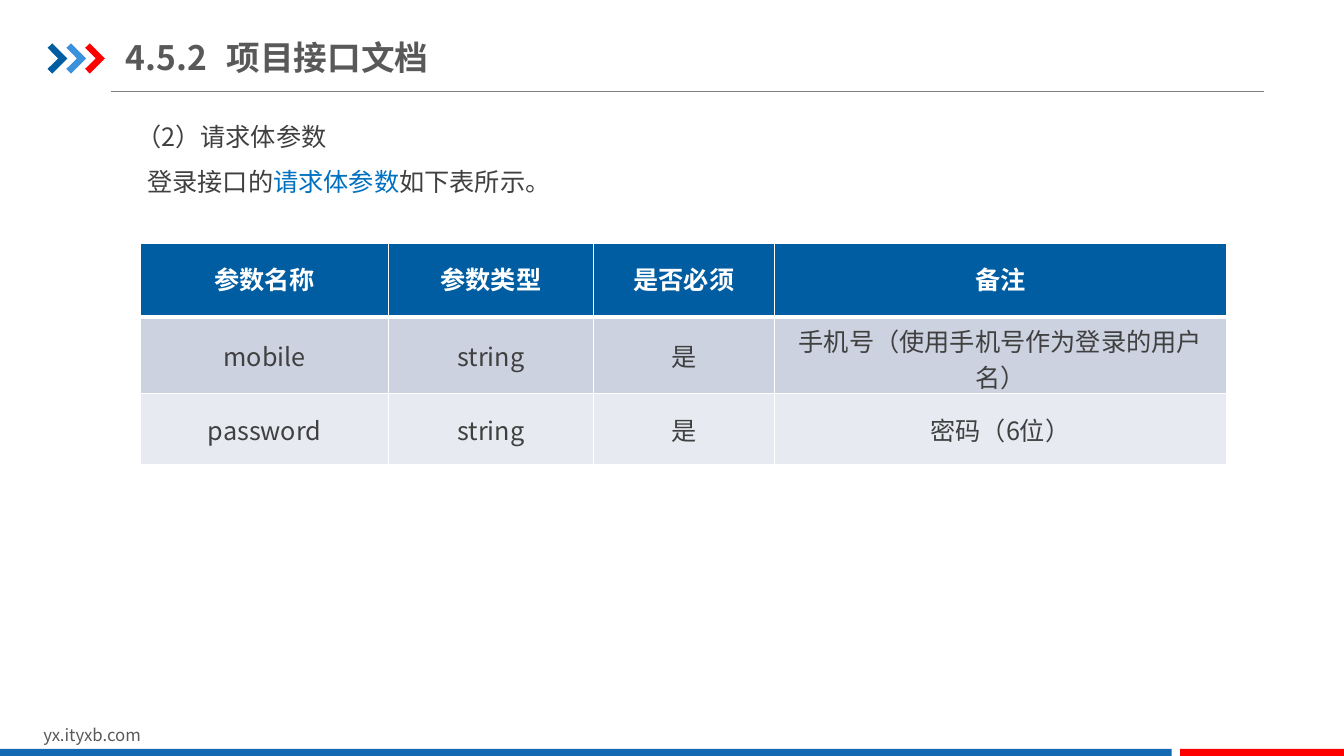
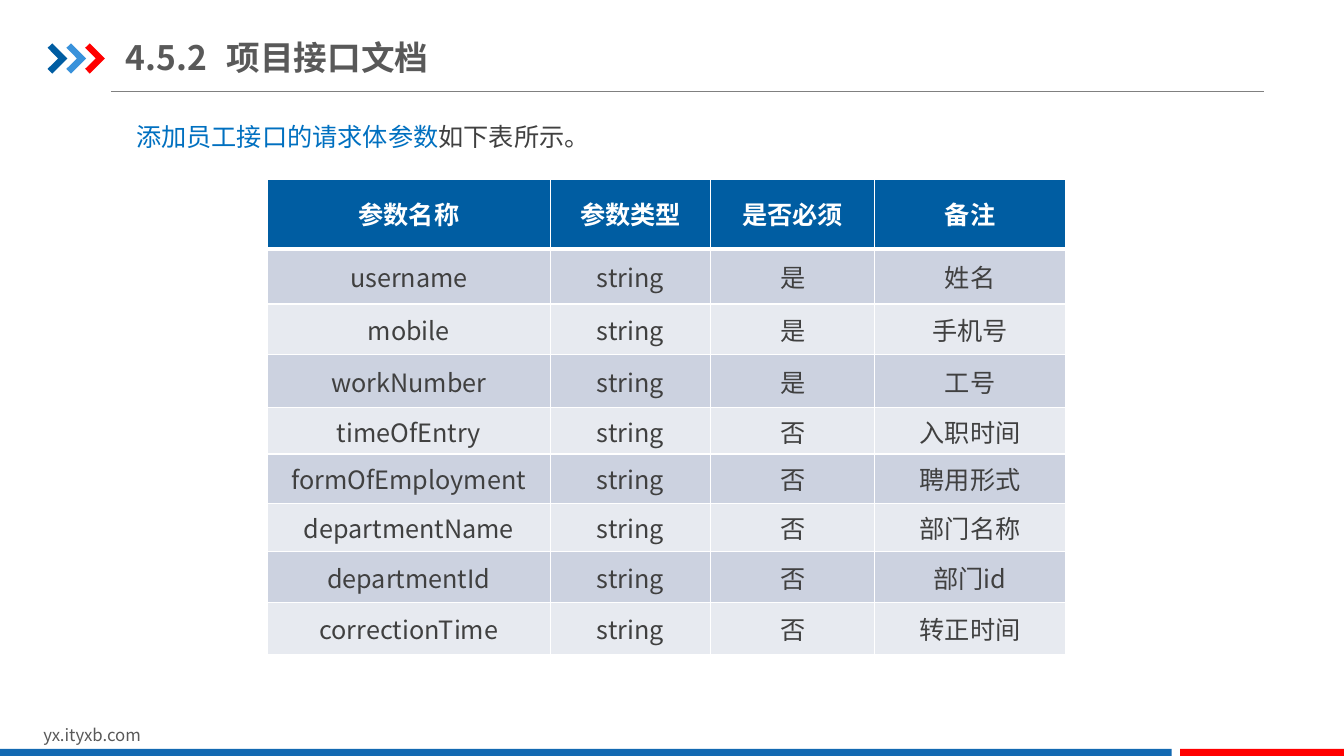
"""Build two slides that list the request body fields of an interface."""
from dataclasses import dataclass

from lxml.etree import SubElement
from pptx import Presentation
from pptx.dml.color import RGBColor
from pptx.enum.shapes import MSO_CONNECTOR, MSO_SHAPE
from pptx.enum.text import MSO_ANCHOR, MSO_AUTO_SIZE, PP_ALIGN
from pptx.oxml.ns import qn
from pptx.util import Pt


@dataclass(frozen=True)
class Theme:
    """Colours, font and type sizes."""
    font: str = "Noto Sans CJK SC"
    head: int = 24
    text: int = 18
    foot: int = 12
    white: str = "FFFFFF"
    grey: str = "595959"
    ink: str = "404040"
    rule: str = "808080"
    key: str = "0070C0"
    navy: str = "005DA2"
    sky: str = "3992DB"
    band: str = "1369B2"
    red: str = "FF0000"
    rows: tuple = ("CCD2E0", "E7EAF0")


T = Theme()
WIDE, HIGH = 960, 540
TITLE = "4.5.2\t项目接口文档"
SITE = "yx.ityxb.com"
HEADS = ("参数名称", "参数类型", "是否必须", "备注")
ARROW = [(0, 3.2), (3.4, 0), (14.2, 10.8), (3.4, 21.6), (0, 18.2), (7.6, 10.8)]

PAGES = [
    {
        "intro": [
            (0, [("（2）请求体参数", T.ink)]),
            (8, [("登录接口的", T.ink), ("请求体参数", T.key), ("如下表所示。", T.ink)]),
        ],
        "at": (100.4, 173.8),
        "cols": (177.2, 146.2, 129.3, 323),
        "highs": (52.6, 54.7, 51.1),
        "rows": [
            ("mobile", "string", "是", "手机号（使用手机号作为登录的用户名）"),
            ("password", "string", "是", "密码（6位）"),
        ],
    },
    {
        "intro": [
            (0, [("添加员工接口的请求体参数", T.key), ("如下表所示。", T.ink)]),
        ],
        "at": (191, 128.3),
        "cols": (202.1, 114.5, 117.2, 136.3),
        "highs": (49.5, 39.3, 36.3, 37.9, 33.1, 35.3, 34.6, 36.2, 36.9),
        "rows": [
            ("username", "string", "是", "姓名"),
            ("mobile", "string", "是", "手机号"),
            ("workNumber", "string", "是", "工号"),
            ("timeOfEntry", "string", "否", "入职时间"),
            ("formOfEmployment", "string", "否", "聘用形式"),
            ("departmentName", "string", "否", "部门名称"),
            ("departmentId", "string", "否", "部门id"),
            ("correctionTime", "string", "否", "转正时间"),
        ],
    },
]


def rgb(hue):
    """Turn a hex string into a colour."""
    return RGBColor.from_string(hue)


def add_run(para, text, size, hue, bold=False):
    """Add one run of text to a paragraph."""
    run = para.add_run()
    run.text = text
    font = run.font
    font.size, font.bold = Pt(size), bold
    font.color.rgb = rgb(hue)
    font.name = T.font
    SubElement(font._element, qn("a:ea"), typeface=T.font)


def place(shape, left, top, width, height):
    """Move and size a shape."""
    shape.left, shape.top = Pt(left), Pt(top)
    shape.width, shape.height = Pt(width), Pt(height)


def paint(shape, hue):
    """Give a shape a flat fill with no line or shadow."""
    shape.shadow.inherit = False
    shape.fill.solid()
    shape.fill.fore_color.rgb = rgb(hue)
    shape.line.fill.background()


def add_frame(slide):
    """Draw the arrows, rule, site name and bands."""
    shapes = slide.shapes
    rule = shapes.add_connector(MSO_CONNECTOR.STRAIGHT, Pt(79.2), Pt(65.5), Pt(903), Pt(65.5))
    rule.line.color.rgb, rule.line.width = rgb(T.rule), Pt(0.75)
    SubElement(rule._element.spPr, qn("a:effectLst"))
    for num, hue in enumerate((T.navy, T.sky, T.red)):
        dots = [(Pt(34 + 13.4 * num + x), Pt(31 + y)) for x, y in ARROW]
        form = shapes.build_freeform(*dots[0])
        form.add_line_segments(dots[1:], close=True)
        paint(form.convert_to_shape(), hue)
    site = shapes.add_textbox(Pt(23.8), Pt(514), Pt(229), Pt(21.8)).text_frame
    site.word_wrap = True
    add_run(site.paragraphs[0], SITE, T.foot, T.grey)
    for left, right, hue in ((0, 837, T.band), (843, WIDE, T.red)):
        bar = shapes.add_shape(MSO_SHAPE.RECTANGLE, Pt(left), Pt(535), Pt(right - left), Pt(HIGH - 535))
        paint(bar, hue)


def add_title(slide):
    """Fill the title with number and name."""
    title = slide.shapes.title
    place(title, 90, 21, 307, 40)
    frame = title.text_frame
    frame.auto_size = MSO_AUTO_SIZE.NONE
    frame.vertical_anchor = MSO_ANCHOR.MIDDLE
    frame.margin_left = frame.margin_right = 0
    para = frame.paragraphs[0]
    tabs = SubElement(para._p.get_or_add_pPr(), qn("a:tabLst"))
    SubElement(tabs, qn("a:tab"), pos=str(Pt(72)), algn="l")
    para.alignment = PP_ALIGN.LEFT
    add_run(para, TITLE, T.head, T.grey, True)


def add_intro(slide, lines):
    """Fill the body with plain lines."""
    body = slide.placeholders[1]
    place(body, 90, 72, 815, 7.2 + 32.8 * len(lines))
    frame = body.text_frame
    frame.auto_size = MSO_AUTO_SIZE.NONE
    for num, (indent, runs) in enumerate(lines):
        para = frame.add_paragraph() if num else frame.paragraphs[0]
        props = para._p.get_or_add_pPr()
        props.set("marL", str(Pt(indent)))
        props.set("indent", "0")
        SubElement(props, qn("a:buNone"))
        para.line_spacing = 1.5
        para.space_before = Pt(0)
        for text, hue in runs:
            add_run(para, text, T.text, hue)


def add_edges(cell, row):
    """Draw white cell borders, thick below the header."""
    props = cell._tc.get_or_add_tcPr()
    sizes = {"L": 1, "R": 1, "T": 3 if row == 1 else 1, "B": 1 if row else 3}
    for side, size in sizes.items():
        edge = SubElement(props, qn("a:ln" + side), w=str(Pt(size)))
        fill = SubElement(edge, qn("a:solidFill"))
        SubElement(fill, qn("a:srgbClr"), val=T.white)


def add_grid(slide, page):
    """Add the table of fields."""
    rows = [HEADS] + page["rows"]
    cols, highs = page["cols"], page["highs"]
    spot = [Pt(n) for n in (*page["at"], sum(cols), sum(highs))]
    grid = slide.shapes.add_table(len(rows), len(cols), *spot).table
    for col, width in zip(grid.columns, cols):
        col.width = Pt(width)
    for num, (row, high) in enumerate(zip(rows, highs)):
        grid.rows[num].height = Pt(high)
        for col, text in enumerate(row):
            cell = grid.cell(num, col)
            add_edges(cell, num)
            cell.fill.solid()
            cell.fill.fore_color.rgb = rgb(T.rows[(num - 1) % 2] if num else T.navy)
            cell.vertical_anchor = MSO_ANCHOR.MIDDLE
            para = cell.text_frame.paragraphs[0]
            para.alignment = PP_ALIGN.CENTER
            para.line_spacing = 1.0 if num else 0.9
            add_run(para, text, T.text, T.ink if num else T.white, not num)


def main():
    """Build and save the deck."""
    deck = Presentation()
    deck.slide_width, deck.slide_height = Pt(WIDE), Pt(HIGH)
    for page in PAGES:
        slide = deck.slides.add_slide(deck.slide_layouts[1])
        add_frame(slide)
        add_title(slide)
        add_intro(slide, page["intro"])
        add_grid(slide, page)
    deck.save("out.pptx")


if __name__ == "__main__":
    main()
